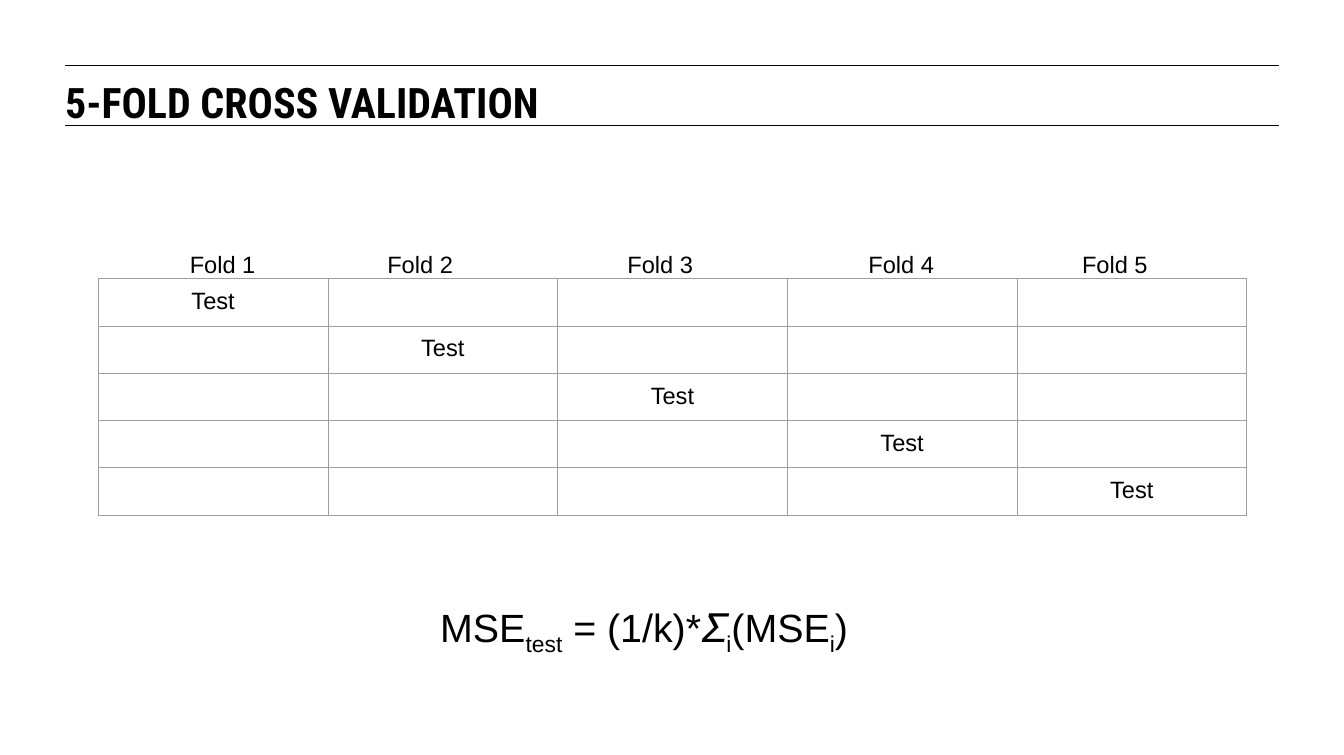
from lxml.etree import SubElement
from pptx import Presentation
from pptx.dml.color import RGBColor
from pptx.enum.text import PP_ALIGN
from pptx.oxml.ns import qn
from pptx.util import Inches, Pt

# Content
TITLE = "5-FOLD CROSS VALIDATION"
FOLDS = [("Fold 1", 1.91), ("Fold 2", 4), ("Fold 3", 6.54),
         ("Fold 4", 9.09), ("Fold 5", 11.35)]
MARK = "Test"
# Formula parts: text, subscript or not
FORMULA = [("MSE", False), ("test", True), (" = (1/k)*𝛴", False), ("i", True),
           ("(MSE", False), ("i", True), (")", False)]
RULES = [0.69, 1.33]
LEFT, RIGHT = 0.69, 13.53
COL, ROW = 2.43, 0.48
BLACK, GREY = "000000", "9E9E9E"


def paint(color, code):
    color.rgb = RGBColor.from_string(code)


def style(para, size, face="Arial", bold=False):
    para.font.size = Pt(size)
    para.font.name = face
    para.font.bold = bold
    paint(para.font.color, BLACK)


def add_text(slide, box, parts, size, inset=0.1, **look):
    frame = slide.shapes.add_textbox(*map(Inches, box)).text_frame
    frame.word_wrap = True
    frame.margin_left = frame.margin_right = Inches(inset)
    frame.margin_top = frame.margin_bottom = Inches(inset)
    para = frame.paragraphs[0]
    style(para, size, **look)
    for text, sub in parts:
        run = para.add_run()
        run.text = text
        if sub:
            run.font._element.set("baseline", "-25000")


def add_rule(slide, y):
    line = slide.shapes.add_connector(1, *map(Inches, (LEFT, y, RIGHT, y)))
    paint(line.line.color, BLACK)
    line.line.width = Pt(0.75)
    SubElement(line._element.spPr, qn("a:effectLst"))


def add_border(cell):
    props = cell._tc.get_or_add_tcPr()
    for side in ("lnL", "lnR", "lnT", "lnB"):
        edge = SubElement(props, qn("a:" + side), w=str(Pt(0.75)))
        fill = SubElement(edge, qn("a:solidFill"))
        SubElement(fill, qn("a:srgbClr"), val=GREY)


def add_grid(slide):
    count = len(FOLDS)
    box = (1.04, 2.95, COL * count, ROW * count)
    table = slide.shapes.add_table(count, count, *map(Inches, box)).table
    table.first_row = table.horz_banding = False
    for i in range(count):
        table.columns[i].width = Inches(COL)
        table.rows[i].height = Inches(ROW)
        for j in range(count):
            cell = table.cell(i, j)
            cell.margin_left = cell.margin_right = Inches(0.1)
            cell.margin_top = cell.margin_bottom = Inches(0.1)
            add_border(cell)
            cell.fill.background()
            # The test set moves down the diagonal
            cell.text = MARK if i == j else ""
            para = cell.text_frame.paragraphs[0]
            para.alignment = PP_ALIGN.CENTER
            style(para, 18)


def main():
    deck = Presentation()
    deck.slide_width, deck.slide_height = Inches(14.22), Inches(7.99)
    slide = deck.slides.add_slide(deck.slide_layouts[6])

    # Title between two rules
    for y in RULES:
        add_rule(slide, y)
    add_text(slide, (LEFT, 0.81, 8.44, 0.47), [(TITLE, False)], 32,
             inset=0, face="Roboto Condensed", bold=True)

    # Folds and their labels
    add_grid(slide)
    for name, x in FOLDS:
        add_text(slide, (x, 2.54, 1.34, 0.3), [(name, False)], 18)

    # Mean test error
    add_text(slide, (4.56, 6.28, 6.04, 0.88), FORMULA, 30)
    deck.save("out.pptx")


if __name__ == "__main__":
    main()
